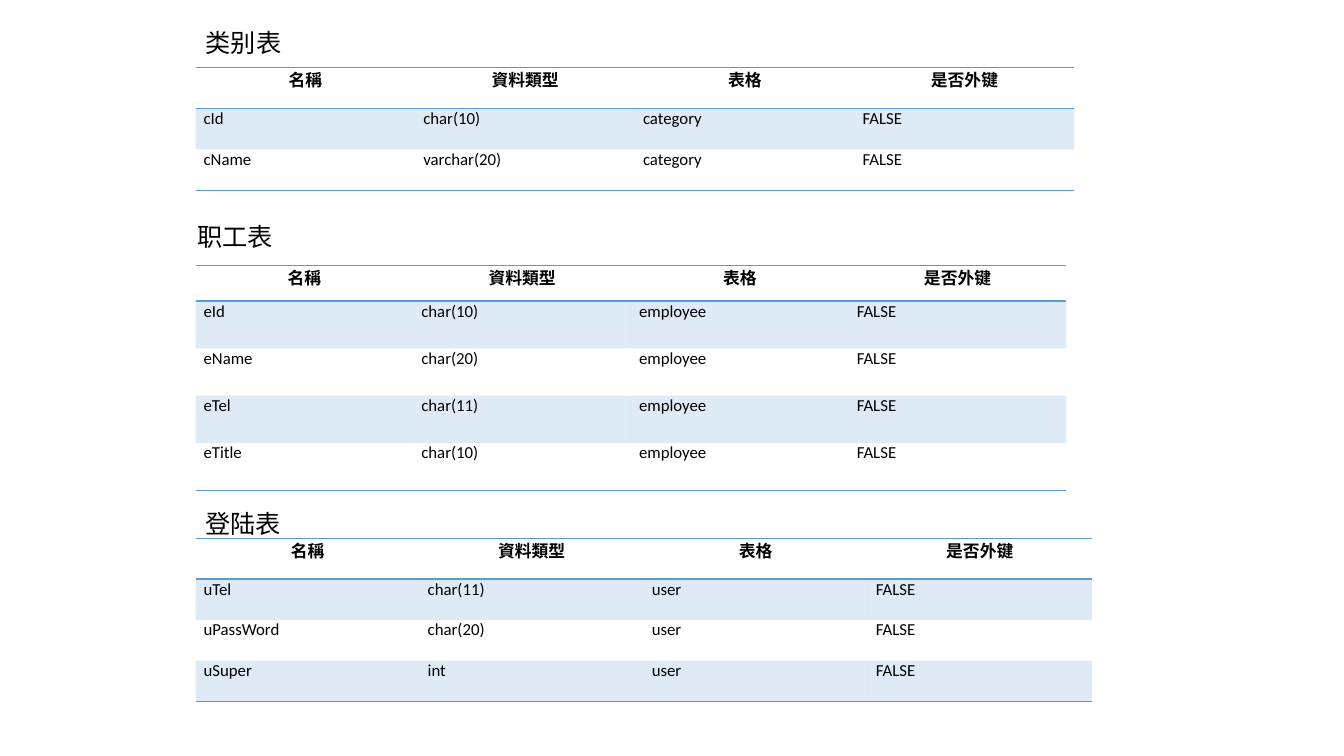
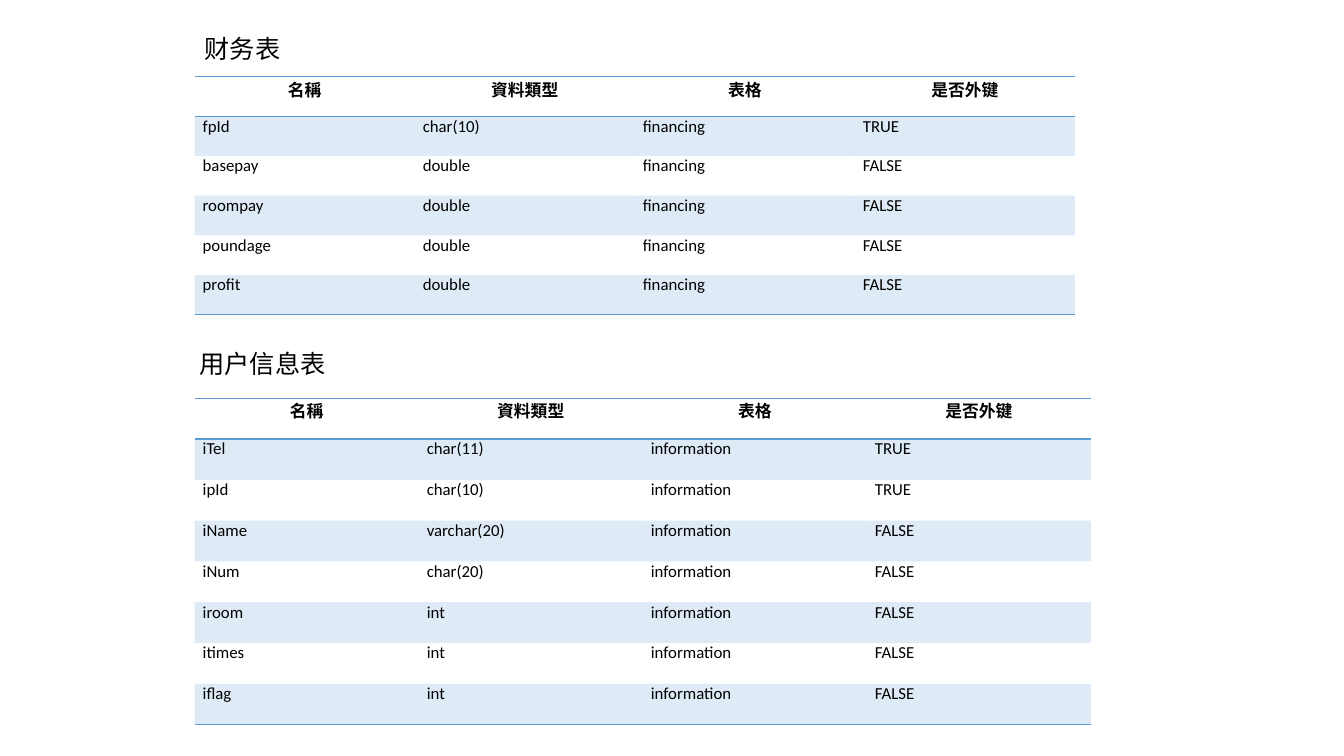
from dataclasses import dataclass
from typing import Any

from lxml.etree import SubElement
from pptx import Presentation
from pptx.dml.color import RGBColor
from pptx.enum.text import MSO_ANCHOR, MSO_AUTO_SIZE, PP_ALIGN
from pptx.oxml.ns import qn
from pptx.util import Emu, Inches, Pt

WIDE = Inches(13.33)
HIGH = Inches(7.5)
INK = "000000"
BLUE = "5B9BD5"
TINT = 20
HEADS = ("名稱", "資料類型", "表格", "是否外键")
PLAIN = "{2D5ABB26-0587-4C30-8999-92F81FD0307C}"


def across(share: float) -> Emu:
    return Emu(round(WIDE * share / 100))


def down(share: float) -> Emu:
    return Emu(round(HIGH * share / 100))


FONT = {"name": "Calibri", "italic": False}
TITLE = FONT | {"size": Pt(18), "bold": False}
HEAD = FONT | {"size": Pt(12), "bold": True}
BODY = HEAD | {"bold": False}
FRAME = {
    "word_wrap": True,
    "auto_size": MSO_AUTO_SIZE.SHAPE_TO_FIT_TEXT,
    "vertical_anchor": MSO_ANCHOR.TOP,
    "margin_left": Inches(0.1),
    "margin_right": Inches(0.1),
    "margin_top": Inches(0.05),
    "margin_bottom": Inches(0.05),
}
CELL = {
    "margin_left": across(0.6),
    "margin_right": across(0.6),
    "margin_top": 0,
    "margin_bottom": 0,
    "vertical_anchor": MSO_ANCHOR.TOP,
}


@dataclass(frozen=True)
class Label:
    text: str
    left: float
    top: float
    width: float


@dataclass(frozen=True)
class Grid:
    name: str
    left: float
    top: float
    width: float
    first: float
    rest: float
    fields: tuple[tuple[str, str], ...]
    foreign: tuple[str, ...] = ()


@dataclass(frozen=True)
class Block:
    label: Label
    grid: Grid


PAGES = (
    (
        Block(
            Label("类别表", 14.55, 2.93, 15.23),
            Grid("category", 14.55, 8.93, 65.4, 5.42, 5.42,
                 (("cId", "char(10)"), ("cName", "varchar(20)"))),
        ),
        Block(
            Label("职工表", 13.95, 28.67, 15.23),
            Grid("employee", 14.55, 35.07, 64.8, 4.76, 6.26,
                 (("eId", "char(10)"), ("eName", "char(20)"),
                  ("eTel", "char(11)"), ("eTitle", "char(10)"))),
        ),
        Block(
            Label("登陆表", 14.55, 66.53, 15.23),
            Grid("user", 14.55, 71.2, 66.7, 5.4, 5.4,
                 (("uTel", "char(11)"), ("uPassWord", "char(20)"),
                  ("uSuper", "int"))),
        ),
    ),
    (
        Block(
            Label("财务表", 14.48, 3.73, 10.95),
            Grid("financing", 14.48, 10.13, 65.5, 5.25, 5.25,
                 (("fpId", "char(10)"), ("basepay", "double"),
                  ("roompay", "double"), ("poundage", "double"),
                  ("profit", "double")),
                 ("fpId",)),
        ),
        Block(
            Label("用户信息表", 14.1, 45.47, 11.7),
            Grid("information", 14.48, 52.67, 66.7, 5.4, 5.4,
                 (("iTel", "char(11)"), ("ipId", "char(10)"),
                  ("iName", "varchar(20)"), ("iNum", "char(20)"),
                  ("iroom", "int"), ("itimes", "int"), ("iflag", "int")),
                 ("iTel", "ipId")),
        ),
    ),
)


def paint(code: str) -> RGBColor:
    return RGBColor.from_string(code)


def format_all(thing: Any, values: dict[str, Any]) -> None:
    for key, value in values.items():
        setattr(thing, key, value)


def write(frame: Any, text: str, style: dict[str, Any], align: Any) -> None:
    line = frame.paragraphs[0]
    line.alignment = align
    run = line.add_run()
    run.text = text
    format_all(run.font, style)
    run.font.color.rgb = paint(INK)


def draw_label(slide: Any, label: Label, title: bool) -> None:
    box = (across(label.left), down(label.top),
           across(label.width), down(5.33))
    if title:
        shape = slide.shapes.title
        format_all(shape, dict(zip(("left", "top", "width", "height"), box)))
    else:
        shape = slide.shapes.add_textbox(*box)
    format_all(shape.text_frame, FRAME)
    write(shape.text_frame, label.text, TITLE, PP_ALIGN.LEFT)


def rule(cell: Any, edges: str) -> None:
    props = cell._tc.get_or_add_tcPr()
    for edge in "LRTB":
        line = SubElement(props, qn(f"a:ln{edge}"), w=str(Pt(1)))
        if edge in edges:
            fill = SubElement(line, qn("a:solidFill"))
            SubElement(fill, qn("a:srgbClr"), val=BLUE)
        else:
            SubElement(line, qn("a:noFill"))


def shade(cell: Any, band: bool) -> None:
    if not band:
        cell.fill.background()
        return
    cell.fill.solid()
    cell.fill.fore_color.rgb = paint(BLUE)
    tone = cell._tc.tcPr.find(f"{qn('a:solidFill')}/{qn('a:srgbClr')}")
    SubElement(tone, qn("a:alpha"), val=str(TINT * 1000))


def draw_grid(slide: Any, grid: Grid) -> None:
    rows = [HEADS] + [
        (field, kind, grid.name, str(field in grid.foreign).upper())
        for field, kind in grid.fields
    ]
    last = len(rows) - 1
    height = grid.first + grid.rest * last
    table = slide.shapes.add_table(
        len(rows), len(HEADS), across(grid.left), down(grid.top),
        across(grid.width), down(height)).table
    table._tbl.tblPr.find(qn("a:tableStyleId")).text = PLAIN
    for col in table.columns:
        col.width = across(grid.width / len(HEADS))
    for r, texts in enumerate(rows):
        table.rows[r].height = down(grid.rest if r else grid.first)
        edges = ("T" if r < 2 else "") + ("B" if r in (0, last) else "")
        style, align = (BODY, PP_ALIGN.LEFT) if r else (HEAD, PP_ALIGN.CENTER)
        for c, text in enumerate(texts):
            cell = table.cell(r, c)
            format_all(cell, CELL)
            rule(cell, edges)
            shade(cell, r % 2 == 1)
            write(cell.text_frame, text, style, align)


def main() -> None:
    deck = Presentation()
    format_all(deck, {"slide_width": WIDE, "slide_height": HIGH})
    for page in PAGES:
        slide = deck.slides.add_slide(deck.slide_layouts.get_by_name("Title Only"))
        for block in page:
            draw_grid(slide, block.grid)
            draw_label(slide, block.label, block is page[0])
    deck.save("out.pptx")


if __name__ == "__main__":
    main()
